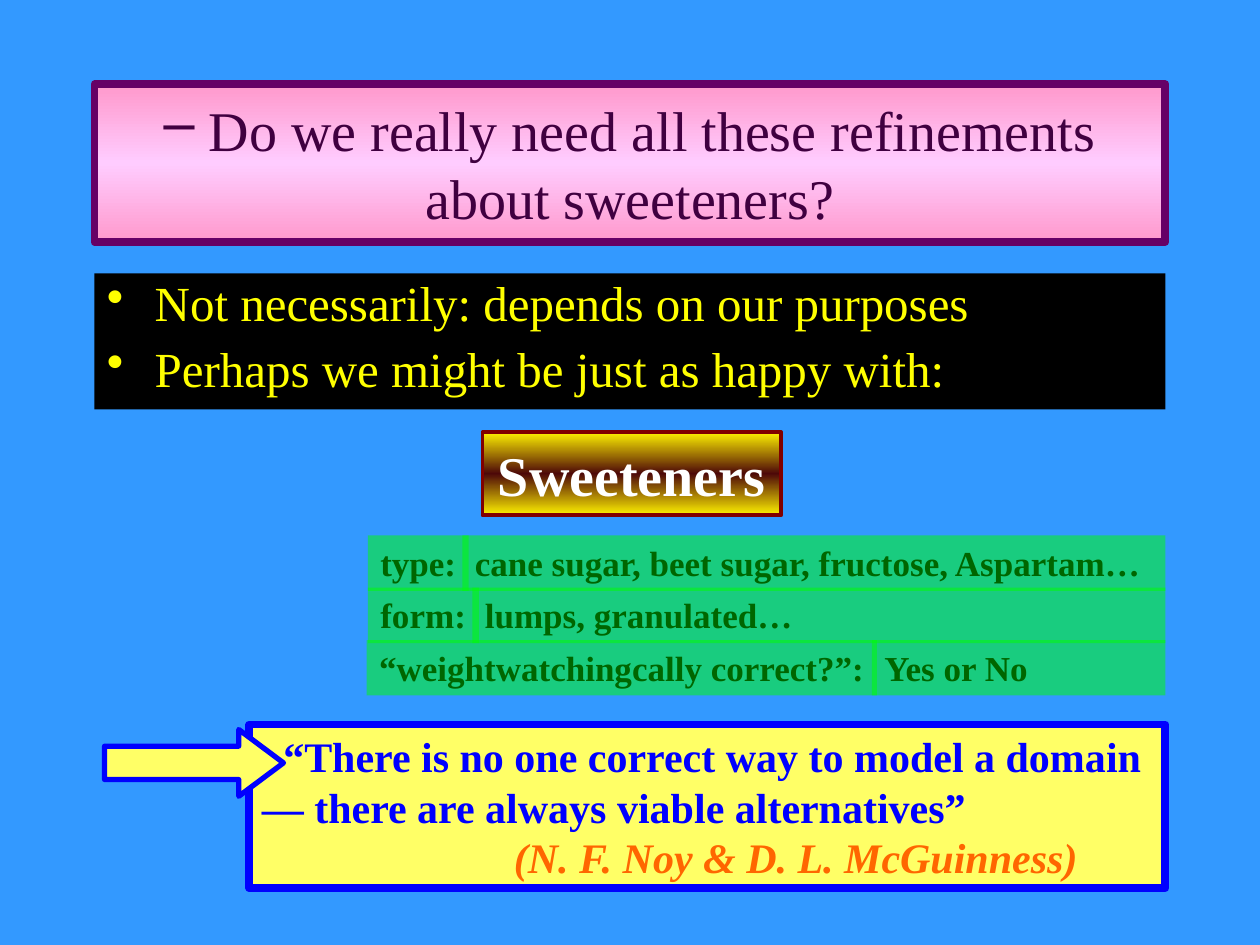
"""Build a slide on simplifying the sweeteners model."""
import copy

import lxml.etree
import pptx
import pptx.dml.color
import pptx.enum.shapes
import pptx.enum.text
import pptx.oxml.ns
import pptx.util

Inches = pptx.util.Inches
Pt = pptx.util.Pt
RGBColor = pptx.dml.color.RGBColor
SHAPES = pptx.enum.shapes.MSO_SHAPE
ALIGN = pptx.enum.text.PP_ALIGN
ANCHOR = pptx.enum.text.MSO_ANCHOR
qn = pptx.oxml.ns.qn

SKY = RGBColor(0x33, 0x99, 0xFF)
PINK = RGBColor(0xFF, 0x99, 0xCC)
LILAC = RGBColor(0xFF, 0xCC, 0xFF)
PURPLE = RGBColor(0x66, 0x00, 0x66)
PLUM = RGBColor(0x40, 0x00, 0x40)
BLACK = RGBColor(0x00, 0x00, 0x00)
WHITE = RGBColor(0xFF, 0xFF, 0xFF)
YELLOW = RGBColor(0xFF, 0xFF, 0x00)
GOLD = RGBColor(0xFF, 0xF2, 0x00)
BROWN = RGBColor(0x4D, 0x08, 0x08)
MAROON = RGBColor(0x80, 0x00, 0x00)
GREEN = RGBColor(0x00, 0xFF, 0x00)
DARK_GREEN = RGBColor(0x00, 0x66, 0x00)
LEMON = RGBColor(0xFF, 0xFF, 0x66)
BLUE = RGBColor(0x00, 0x00, 0xFF)
ORANGE = RGBColor(0xFF, 0x66, 0x00)

RIGHT = 9.25
ROW_TOP, ROW_PITCH, ROW_HEIGHT = 4.25, 0.415, 0.44

TITLE = " Do we really need all these refinements about sweeteners?"
ANSWERS = ["Not necessarily: depends on our purposes", "Perhaps we might be just as happy with:"]
CONCEPT = "Sweeteners"
PROPERTIES = [
    ("type:", 2.92, 0.8, "cane sugar, beet sugar, fructose, Aspartam…", 3.67),
    ("form:", 2.92, 0.88, "lumps, granulated…", 3.75),
    ("“weightwatchingcally correct?”:", 2.91, 4.05, "Yes or No", 6.92),
]
QUOTE = "“There is no one correct way to model a domain — there are always viable alternatives”"
AUTHORS = "(N. F. Noy & D. L. McGuinness)"

TITLE_FONT = {"size": Pt(32), "bold": False, "color": PLUM}
ANSWER_FONT = {"size": Pt(28), "bold": False, "color": YELLOW}
CONCEPT_FONT = {"size": Pt(32), "bold": True, "color": WHITE}
PROPERTY_FONT = {"size": Pt(20), "bold": True, "color": DARK_GREEN}
QUOTE_FONT = {"size": Pt(24), "bold": True, "color": BLUE}
AUTHOR_FONT = QUOTE_FONT | {"italic": True, "color": ORANGE}
ANSWER_SPACING = {"line_spacing": 0.9, "space_before": Pt(7)}


def apply(target, values):
    for name, value in values.items():
        setattr(target, name, value)


def add_box(slide, position, colors, line=None, kind=SHAPES.RECTANGLE, alpha=None):
    shape = slide.shapes.add_shape(kind, *map(Inches, position))
    shape.shadow.inherit = False
    if len(colors) == 1:
        shape.fill.solid()
        shape.fill.fore_color.rgb = colors[0]
    else:
        shape.fill.gradient()
        shape.fill.gradient_angle = 90
        stop_list = shape._element.spPr.find(".//" + qn("a:gsLst"))
        stop_list.append(copy.deepcopy(stop_list[0]))
        for index, stop in enumerate(shape.fill.gradient_stops):
            stop.position = index / 2
            stop.color.rgb = colors[index]
    if alpha is not None:
        color = shape._element.spPr.find(".//" + qn("a:srgbClr"))
        lxml.etree.SubElement(color, qn("a:alpha"), val=str(alpha * 1000))
    if line:
        shape.line.color.rgb = line[0]
        shape.line.width = Pt(line[1])
    else:
        shape.line.fill.background()
    return shape


def write(shape, items, align=ALIGN.LEFT, anchor=ANCHOR.TOP, wrap=True):
    frame = shape.text_frame
    apply(frame, {"word_wrap": wrap, "vertical_anchor": anchor})
    for index, (text, font, spacing, margin, indent, bullet) in enumerate(items):
        paragraph = frame.paragraphs[0] if index == 0 else frame.add_paragraph()
        apply(paragraph, {"alignment": align} | spacing)
        properties = paragraph._p.get_or_add_pPr()
        properties.set("marL", str(Inches(margin)))
        properties.set("indent", str(Inches(indent)))
        if bullet:
            lxml.etree.SubElement(properties, qn("a:buChar"), char=bullet)
        run = paragraph.add_run()
        run.text = text
        values = {"name": "Times New Roman"} | font
        run.font.color.rgb = values.pop("color")
        apply(run.font, values)


def plain(text, font):
    return [(text, font, {}, 0, 0, None)]


def main():
    presentation = pptx.Presentation()
    apply(presentation, {"slide_width": Inches(10), "slide_height": Inches(7.5)})
    slide = presentation.slides.add_slide(presentation.slide_layouts[6])
    slide.background.fill.solid()
    slide.background.fill.fore_color.rgb = SKY

    title = add_box(slide, (0.75, 0.67, 8.5, 1.25), [PINK, LILAC, PINK], (PURPLE, 4.5))
    write(title, [(TITLE, TITLE_FONT, {}, 0, 0, "–")], ALIGN.CENTER, ANCHOR.MIDDLE)

    answers = add_box(slide, (0.75, 2.17, 8.5, 1.08), [BLACK])
    write(answers, [(text, ANSWER_FONT, ANSWER_SPACING, 0.38, -0.38, "•") for text in ANSWERS])

    concept = add_box(slide, (3.83, 3.43, 2.37, 0.66), [GOLD, BROWN, GOLD], (MAROON, 2.25))
    write(concept, plain(CONCEPT, CONCEPT_FONT), ALIGN.CENTER, ANCHOR.MIDDLE, False)

    for row, (label, left, width, value, split) in enumerate(PROPERTIES):
        top = ROW_TOP + row * ROW_PITCH
        cells = [(label, left, width, False), (value, split, RIGHT - split, True)]
        for text, start, extent, wrap in cells:
            cell = add_box(slide, (start, top, extent, ROW_HEIGHT), [GREEN], alpha=50)
            write(cell, plain(text, PROPERTY_FONT), wrap=wrap)

    quote = add_box(slide, (1.98, 5.75, 7.27, 1.3), [LEMON], (BLUE, 4.5))
    write(quote, [(QUOTE, QUOTE_FONT, {}, 0, 0.17, None), (AUTHORS, AUTHOR_FONT, {}, 2, 0, None)])

    arrow = add_box(slide, (0.83, 5.79, 1.42, 0.53), [LEMON], (BLUE, 3), SHAPES.RIGHT_ARROW)
    arrow.adjustments[1] = 0.67

    presentation.save("out.pptx")


if __name__ == "__main__":
    main()
